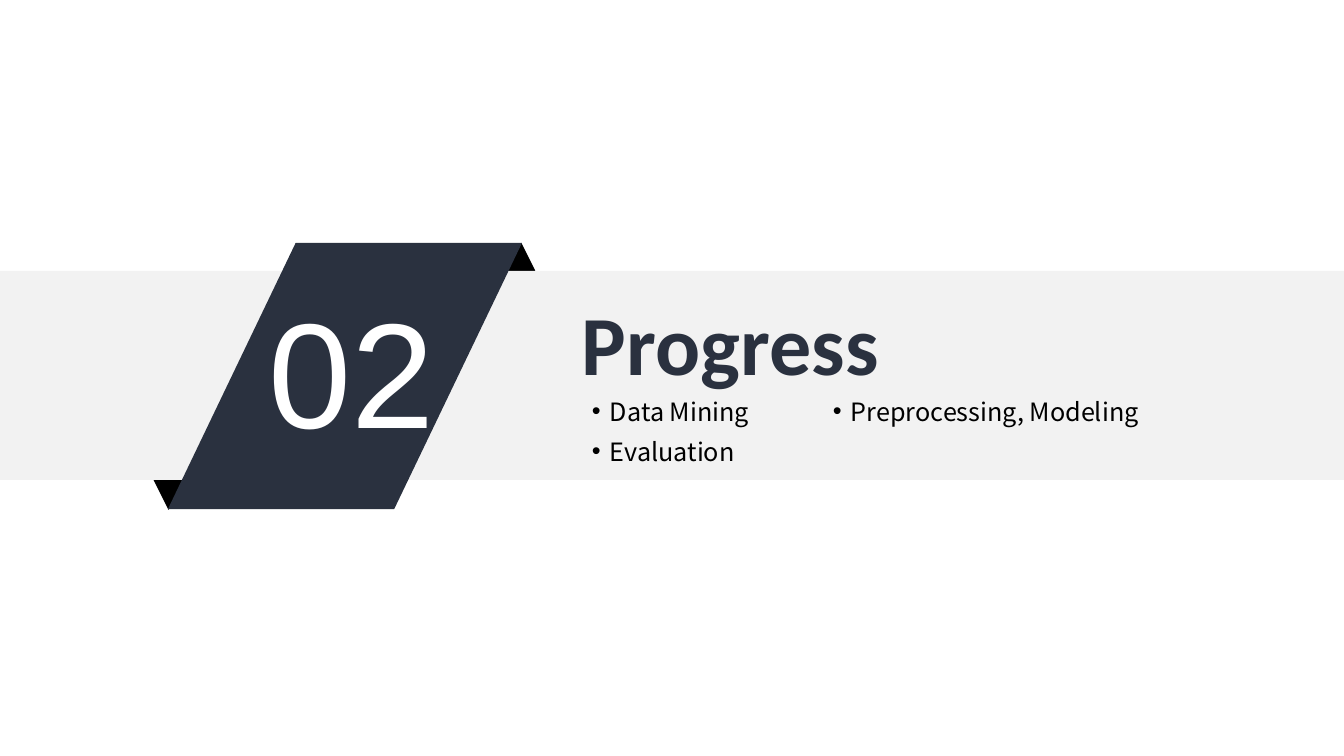
from lxml import etree
from pptx import Presentation
from pptx import util as u
from pptx.dml import color
from pptx.enum import shapes, text
from pptx.oxml import ns

PX = 914400 / 100.8
NAVY = "2A313F"
BLACK = "000000"
WHITE = "FFFFFF"
BAND_GREY = "F2F2F2"


def px(length):
    return u.Emu(round(length * PX))


def rgb(value):
    return color.RGBColor.from_string(value)


def add_block(slide, kind, box, fill, rotation=0):
    block = slide.shapes.add_shape(kind, *map(px, box))
    block.fill.solid()
    block.fill.fore_color.rgb = rgb(fill)
    block.line.fill.background()
    block.shadow.inherit = False
    block.rotation = rotation
    return block


def prepare_frame(frame, inset_x, inset_y):
    frame.word_wrap = True
    frame.auto_size = text.MSO_AUTO_SIZE.SHAPE_TO_FIT_TEXT
    frame.vertical_anchor = text.MSO_ANCHOR.TOP
    frame.margin_left = frame.margin_right = px(inset_x)
    frame.margin_top = frame.margin_bottom = px(inset_y)


def style_paragraph(paragraph, size, face, ink, align, bold=False):
    paragraph.alignment = align
    for run in paragraph.runs:
        run.font.size = u.Pt(size)
        run.font.name = face
        run.font.bold = bold
        run.font.color.rgb = rgb(ink)


def place_placeholder(slide, placeholder, box):
    slide.shapes._spTree.append(placeholder._element)
    placeholder.left, placeholder.top, placeholder.width, placeholder.height = map(px, box)


def add_number(slide, number, box):
    frame = slide.shapes.add_textbox(*map(px, box)).text_frame
    prepare_frame(frame, 0, 0)
    frame.text = number
    style_paragraph(frame.paragraphs[0], 106.7, "Arial", WHITE, text.PP_ALIGN.CENTER)


def fill_title(slide, heading, box):
    title = slide.shapes.title
    place_placeholder(slide, title, box)
    prepare_frame(title.text_frame, 0, 0)
    title.text_frame.text = heading
    style_paragraph(title.text_frame.paragraphs[0], 60, "Calibri", NAVY, text.PP_ALIGN.LEFT, True)


def fill_topics(slide, placeholder, topics, box):
    place_placeholder(slide, placeholder, box)
    frame = placeholder.text_frame
    prepare_frame(frame, 10, 5)
    frame.text = "\n".join(topics)
    for position, paragraph in enumerate(frame.paragraphs):
        paragraph.space_before = u.Pt(7 if position else 0)
        properties = paragraph._p.get_or_add_pPr()
        properties.set("marL", str(px(18)))
        properties.set("indent", str(-px(18)))
        etree.SubElement(properties, ns.qn("a:buChar")).set("char", "•")
        style_paragraph(paragraph, 18, "Noto Sans CJK SC", BLACK, text.PP_ALIGN.LEFT)


def main():
    deck = Presentation()
    deck.slide_width, deck.slide_height = px(1344), px(756)
    slide = deck.slides.add_slide(deck.slide_layouts[3])
    kinds = shapes.MSO_SHAPE

    add_block(slide, kinds.ISOSCELES_TRIANGLE, (461, 243, 121, 122), BLACK)
    add_block(slide, kinds.ISOSCELES_TRIANGLE, (108, 388, 121, 122), BLACK, 180)
    add_block(slide, kinds.RECTANGLE, (0, 271, 1344, 209), BAND_GREY)
    ribbon = add_block(slide, kinds.PARALLELOGRAM, (168, 243, 354, 266), NAVY)
    ribbon.adjustments[0] = 0.48
    add_number(slide, "02", (254, 279, 195, 181))

    left_topics, right_topics = list(slide.placeholders)[1:]
    fill_title(slide, "Progress", (582, 291, 459, 102))
    fill_topics(slide, left_topics, ["Data Mining", "Evaluation"], (582, 391, 259, 82))
    fill_topics(slide, right_topics, ["Preprocessing, Modeling"], (823, 391, 354, 41))

    deck.save("out.pptx")


if __name__ == "__main__":
    main()
